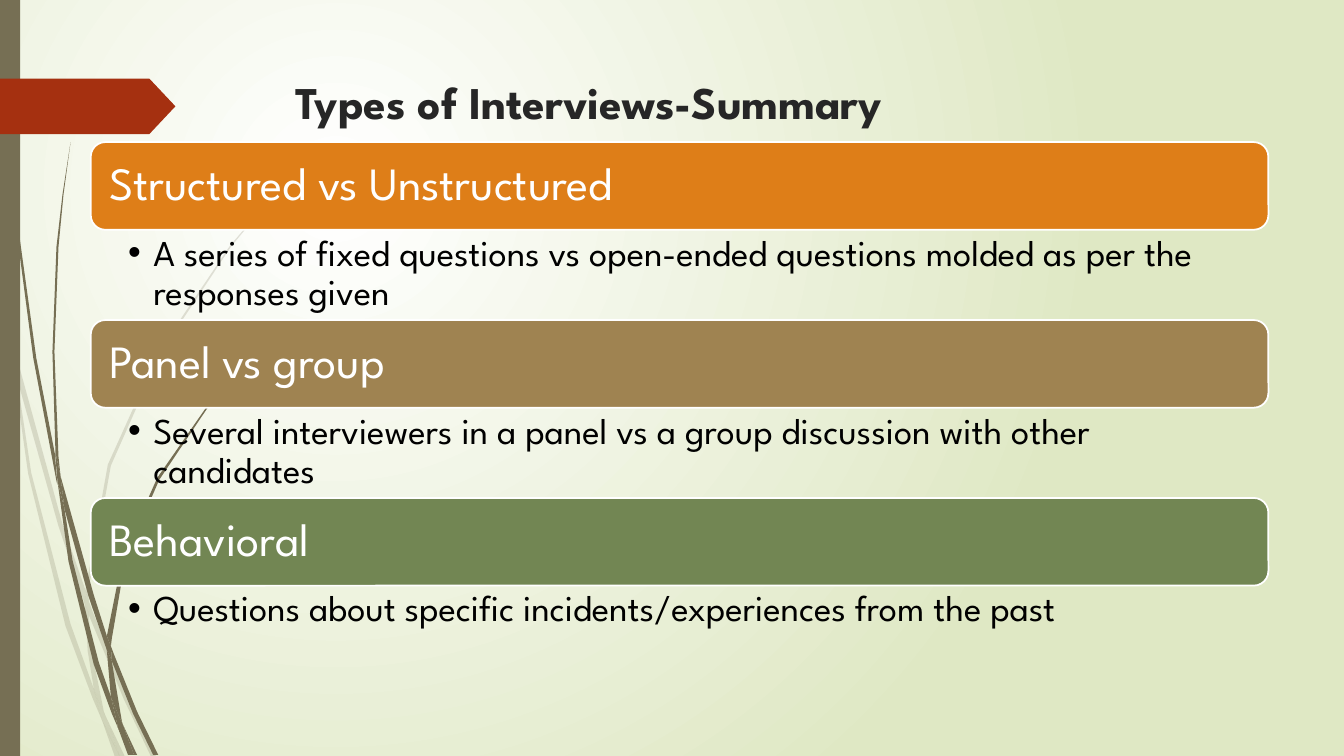
from dataclasses import dataclass

from lxml.etree import SubElement
from pptx import Presentation
from pptx.dml.color import RGBColor
from pptx.enum.shapes import MSO_SHAPE
from pptx.enum.text import MSO_ANCHOR, PP_ALIGN
from pptx.oxml.ns import qn
from pptx.util import Inches, Pt


@dataclass(frozen=True)
class Theme:
    font: str = "League Spartan"
    bullet_font: str = "Arial"
    title_size: float = 32.4
    band_size: float = 33
    detail_size: float = 26
    white: str = "FFFFFF"
    black: str = "000000"
    title_ink: str = "262626"
    pale_green: str = "DFE8C4"
    stem: str = "766F54"
    marker: str = "A53010"
    orange: str = "DE7E18"
    tan: str = "9F8351"
    green: str = "728653"


THEME = Theme()
COLUMNS, ROWS = 13.33, 7.5
BAND_LEFT, BAND_TOP, BAND_WIDTH, BAND_HEIGHT, BAND_PITCH = 0.9, 1.41, 11.68, 0.87, 1.765

TOPICS = [
    ("Structured vs Unstructured", THEME.orange, 0.9,
     "A series of fixed questions vs open-ended questions molded as per the responses given"),
    ("Panel vs group", THEME.tan, 0.9,
     "Several interviewers in a panel vs a group discussion with other candidates"),
    ("Behavioral", THEME.green, 0.6,
     "Questions about specific incidents/experiences from the past"),
]

FAINT_STEMS = [
    [(0.11, 3.5), (0.09, 3.22), (0, 2.82), (0, 2.99), (0.1, 3.44)],
    [(0.58, 5.22), (0.84, 5.99), (0.85, 5.86), (0.62, 5.2), (0.14, 3.45), (0.17, 3.76)],
    [(0.92, 6.07), (0.88, 5.96), (0.88, 6.1), (1.23, 6.94), (1.5, 7.51), (1.55, 7.51),
     (1.27, 6.92)],
    [(1.19, 7.51), (1.24, 7.51), (1.05, 7.11)],
    [(0.93, 6.83), (0.7, 6.19), (0.31, 4.69), (0.17, 3.76), (0.11, 3.5), (0.28, 4.7),
     (0.65, 6.21), (0.92, 6.93), (1.01, 7.14), (0.99, 7.07)],
    [(0.84, 5.99), (0.87, 6.46), (0.93, 6.83), (0.96, 6.92), (1.05, 7.11), (1.03, 7.06),
     (0.91, 6.46), (0.88, 6.1), (0.88, 6.08)],
    [(0.88, 5.84), (1.1, 4.62), (1.6, 3.49), (2.29, 2.45), (2.68, 1.98), (2.9, 1.75),
     (3.12, 1.54), (3.12, 1.53), (2.89, 1.75), (2.68, 1.97), (2.28, 2.44), (1.58, 3.48),
     (1.07, 4.61), (0.85, 5.84), (0.85, 5.86), (0.88, 5.96)],
    [(1.01, 7.14), (1.14, 7.51), (1.19, 7.51)],
    [(0.88, 6.08), (0.88, 6.1), (0.88, 5.96), (0.85, 5.86), (0.84, 5.99)],
    [(0.96, 6.92), (0.93, 6.83), (0.99, 7.07), (1.01, 7.14), (1.19, 7.51), (1.05, 7.11)],
]

DARK_STEMS = [
    [(0.07, 1.1), (0.17, 2.33), (0.33, 3.55), (0.56, 4.77), (0.57, 4.81), (0.55, 4.57),
     (0.55, 4.53), (0.36, 3.55), (0.19, 2.32), (0.08, 1.09), (0.05, 0.48), (0.04, 0),
     (0.03, 0), (0.04, 0.48)],
    [(0.88, 5.92), (1.06, 6.45), (1.06, 6.31), (0.93, 5.9), (0.6, 4.72), (0.64, 5.05)],
    [(1.13, 6.49), (1.1, 6.41), (1.11, 6.56), (1.32, 7.08), (1.52, 7.49), (1.57, 7.49),
     (1.36, 7.06)],
    [(1.1, 6.91), (0.98, 6.57), (0.72, 5.56), (0.64, 5.05), (0.57, 4.77), (0.68, 5.57),
     (0.93, 6.59), (1.11, 7.08), (1.17, 7.22), (1.16, 7.17)],
    [(0.6, 4.72), (0.58, 4.53), (0.54, 3.49), (0.58, 2.45), (0.63, 1.93), (0.7, 1.41),
     (0.62, 1.93), (0.56, 2.45), (0.52, 3.49), (0.55, 4.49)],
    [(1.33, 7.49), (1.36, 7.49), (1.22, 7.19)],
    [(0.57, 4.77), (0.64, 5.05), (0.6, 4.72), (0.55, 4.49), (0.55, 4.53)],
    [(1.11, 6.33), (1.25, 5.52), (1.58, 4.76), (2.05, 4.06), (2.31, 3.74), (2.45, 3.59),
     (2.61, 3.44), (2.6, 3.44), (2.45, 3.58), (2.31, 3.73), (2.04, 4.05), (1.56, 4.74),
     (1.22, 5.51), (1.06, 6.31), (1.1, 6.41)],
    [(1.17, 7.22), (1.27, 7.49), (1.31, 7.49)],
    [(1.06, 6.45), (1.1, 6.91), (1.16, 7.06), (1.22, 7.19), (1.21, 7.16), (1.11, 6.56),
     (1.09, 6.51)],
    [(1.06, 6.45), (1.09, 6.51), (1.11, 6.56), (1.1, 6.41), (1.06, 6.31)],
    [(1.16, 7.06), (1.1, 6.91), (1.16, 7.17), (1.17, 7.22), (1.3, 7.49), (1.33, 7.49),
     (1.22, 7.19)],
]


def cells(*spans):
    return [Inches(span) for span in spans]


def paint(shape, color, line=None):
    shape.shadow.inherit = False
    shape.fill.solid()
    shape.fill.fore_color.rgb = RGBColor.from_string(color)
    if line:
        shape.line.color.rgb = RGBColor.from_string(line)
        shape.line.width = Pt(1.25)
    else:
        shape.line.fill.background()


def add_preset(slide, kind, place, color, line=None):
    shape = slide.shapes.add_shape(kind, *cells(*place))
    paint(shape, color, line)
    return shape


def add_stem(slide, outline, opacity=None):
    start, *rest = [cells(*point) for point in outline]
    builder = slide.shapes.build_freeform(*start)
    builder.add_line_segments(rest, close=True)
    stem = builder.convert_to_shape()
    paint(stem, THEME.stem)
    if opacity:
        tint = stem.fill._xPr.find(qn("a:solidFill"))[0]
        SubElement(tint, qn("a:alpha"), val=str(opacity * 1000))


def write(shape, words, size, color, insets, bold=False, spacing=None, bullet=False,
          anchor=MSO_ANCHOR.TOP):
    frame = shape.text_frame
    frame.word_wrap = True
    frame.vertical_anchor = anchor
    frame.margin_left, frame.margin_top, frame.margin_right, frame.margin_bottom = cells(*insets)
    paragraph = frame.paragraphs[0]
    paragraph.alignment = PP_ALIGN.LEFT
    paragraph.line_spacing = spacing
    if bullet:
        properties = paragraph._p.get_or_add_pPr()
        properties.set("marL", str(Inches(0.25)))
        properties.set("indent", str(-Inches(0.25)))
        SubElement(properties, qn("a:buFont"), typeface=THEME.bullet_font)
        SubElement(properties, qn("a:buChar"), char="•")
    run = paragraph.add_run()
    run.text = words
    run.font.name = THEME.font
    run.font.size = Pt(size)
    run.font.bold = bold
    run.font.color.rgb = RGBColor.from_string(color)


def add_background(slide):
    fill = slide.background.fill
    fill.gradient()
    for stop, color in zip(fill.gradient_stops, (THEME.white, THEME.pale_green)):
        stop.color.rgb = RGBColor.from_string(color)
    gradient = slide.background._cSld.find(".//" + qn("a:gradFill"))
    gradient.remove(gradient.find(qn("a:lin")))
    circle = SubElement(gradient, qn("a:path"), {"path": "circle"})
    SubElement(circle, qn("a:fillToRect"), l="50000", t="50000", r="100000", b="100000")


def add_decoration(slide):
    for outline in FAINT_STEMS:
        add_stem(slide, outline, opacity=20)
    for outline in DARK_STEMS:
        add_stem(slide, outline)
    add_preset(slide, MSO_SHAPE.RECTANGLE, (0, 0, 0.2, ROWS), THEME.stem)
    marker = add_preset(slide, MSO_SHAPE.PENTAGON, (0, 0.78, 1.74, 0.55), THEME.marker)
    marker.adjustments[0] = 0.47


def add_title(slide):
    title = slide.shapes.add_textbox(*cells(2.83, 0.69, 9.75, 0.29))
    write(title, "Types of Interviews-Summary", THEME.title_size, THEME.title_ink,
          (0.1, 0.05, 0.1, 0.05), bold=True)


def add_topic(slide, row, heading, color, detail_height, explanation):
    top = BAND_TOP + row * BAND_PITCH
    band = add_preset(slide, MSO_SHAPE.ROUNDED_RECTANGLE,
                      (BAND_LEFT, top, BAND_WIDTH, BAND_HEIGHT), color, THEME.white)
    write(band, heading, THEME.band_size, THEME.white, (0.14,) * 4, spacing=0.9,
          anchor=MSO_ANCHOR.MIDDLE)
    detail = slide.shapes.add_textbox(
        *cells(BAND_LEFT, top + BAND_HEIGHT, BAND_WIDTH, detail_height))
    write(detail, explanation, THEME.detail_size, THEME.black, (0.37, 0.05, 0.26, 0.05),
          spacing=0.9, bullet=True)


def main():
    deck = Presentation()
    deck.slide_width, deck.slide_height = cells(COLUMNS, ROWS)
    slide = deck.slides.add_slide(deck.slide_layouts[6])
    add_background(slide)
    add_decoration(slide)
    add_title(slide)
    for row, topic in enumerate(TOPICS):
        add_topic(slide, row, *topic)
    deck.save("out.pptx")


if __name__ == "__main__":
    main()
